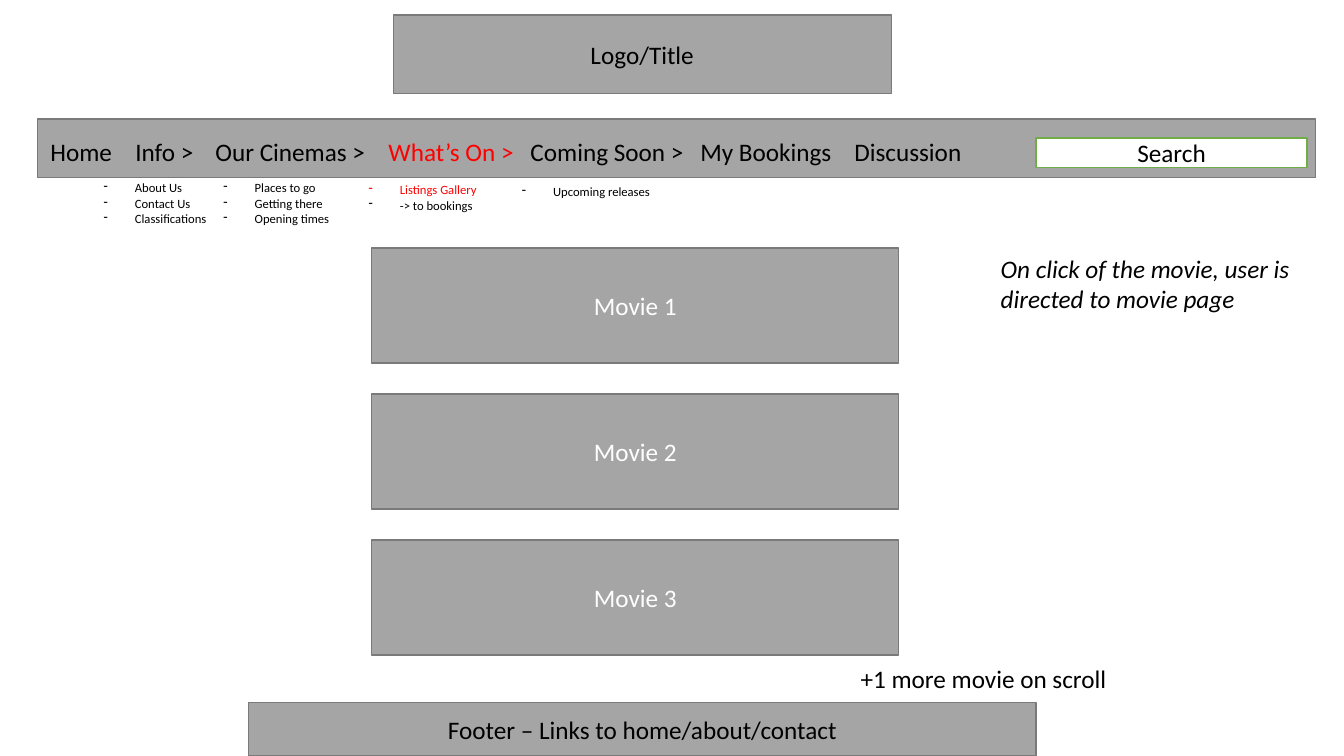
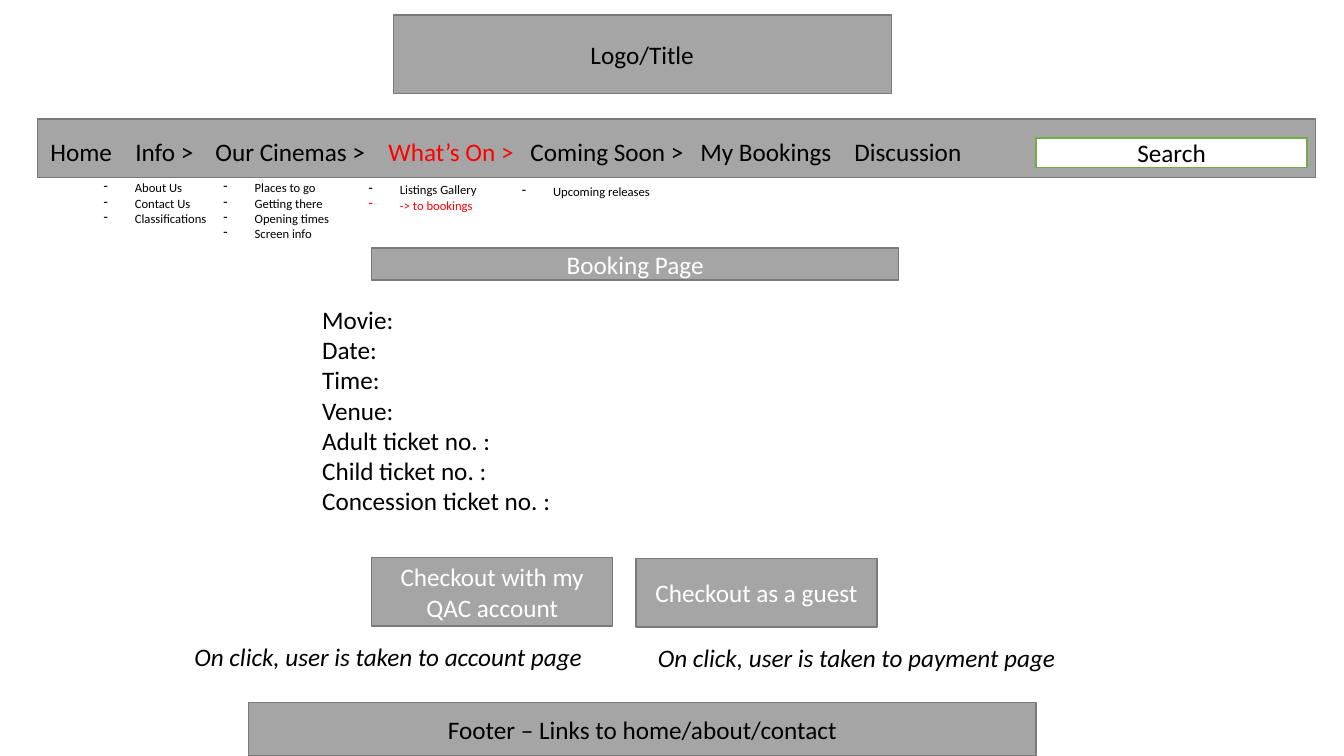
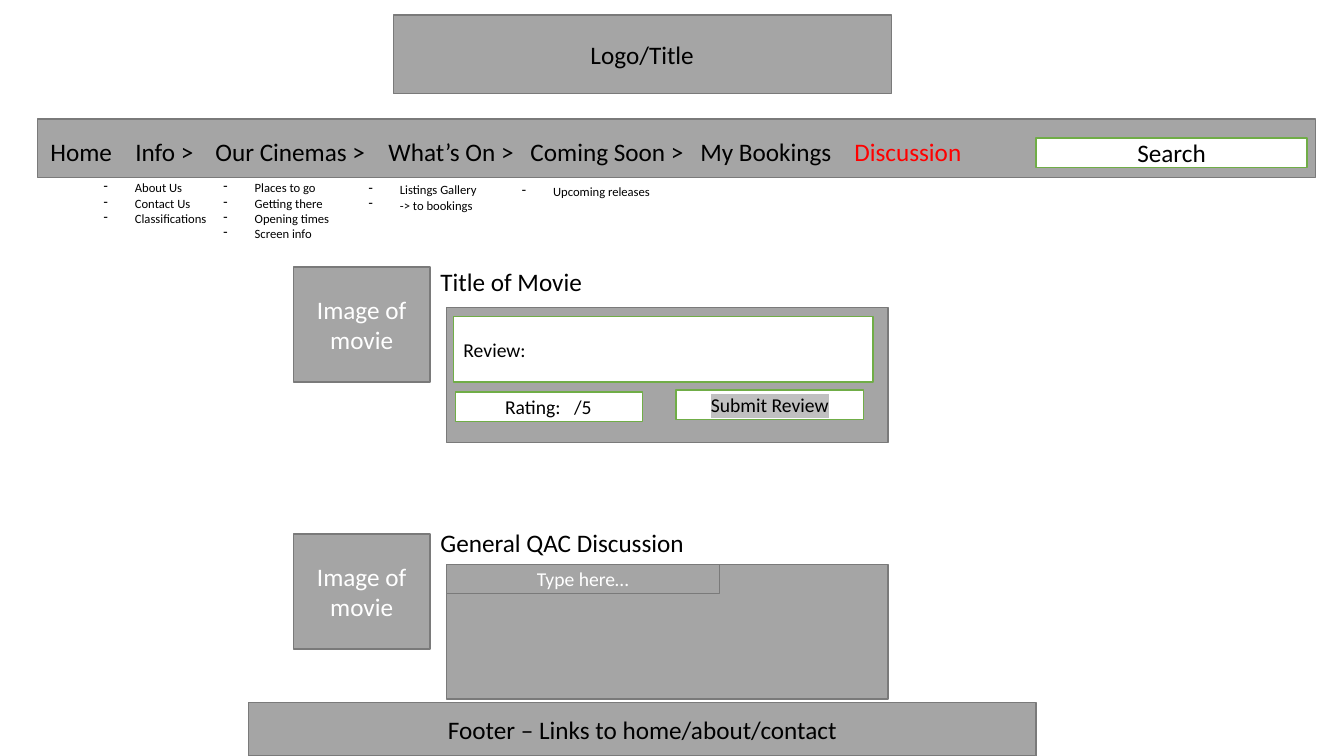
from dataclasses import dataclass

from lxml.etree import SubElement
from pptx import Presentation
from pptx.dml.color import RGBColor
from pptx.enum.shapes import MSO_SHAPE
from pptx.enum.text import MSO_ANCHOR, PP_ALIGN
from pptx.oxml.ns import qn
from pptx.util import Cm, Pt


@dataclass(frozen=True)
class Theme:
    font: str = "Calibri"
    black: str = "000000"
    white: str = "FFFFFF"
    red: str = "FF0000"
    grey: str = "A5A5A5"
    grey_edge: str = "7A7A7A"
    green_edge: str = "70AD47"
    marker: str = "C0C0C0"
    body: int = 18
    field: int = 14
    menu: int = 9
    outline: float = 1
    bullet_indent: float = 0.79


THEME = Theme()

NAV_ITEMS = ["Home", "Info >", "Our Cinemas >", "What’s On >",
             "Coming Soon >", "My Bookings", "Discussion"]
NAV_TABS = [2.14, 4.16, 8.52, 12.1, 16.38, 20.26]
CINEMA_ITEMS = ["Places to go", "Getting there", "Opening times"]
MENUS = [
    (2.36, 4.42, 3.35, ["About Us", "Contact Us", "Classifications"]),
    (9.04, 4.47, 3.25, ["Listings Gallery", "-> to bookings"]),
    (12.9, 4.5, 17, ["Upcoming releases"]),
]
MAIN_LEFT, MAIN_TOP, MAIN_WIDTH = 9.37, 6.25, 13.28


def add_bullet(paragraph):
    properties = paragraph._p.get_or_add_pPr()
    indent = Cm(THEME.bullet_indent)
    properties.set("marL", str(indent))
    properties.set("indent", str(-indent))
    SubElement(properties, qn("a:buFontTx"))
    SubElement(properties, qn("a:buChar"), char="-")


def add_tab_stops(paragraph, tabs):
    stops = SubElement(paragraph._p.get_or_add_pPr(), qn("a:tabLst"))
    for tab in tabs:
        SubElement(stops, qn("a:tab"), pos=str(Cm(tab)), algn="l")


def add_highlight(run, color):
    highlight = SubElement(run._r.rPr, qn("a:highlight"))
    SubElement(highlight, qn("a:srgbClr"), val=color)
    run._r.rPr.find(qn("a:solidFill")).addnext(highlight)


def write(frame, text, size=THEME.body, color=THEME.black, italic=False,
          align=PP_ALIGN.LEFT, anchor=MSO_ANCHOR.TOP, bullet=False,
          tabs=(), active=(), highlight=None, inset=0.25):
    frame.word_wrap = True
    frame.vertical_anchor = anchor
    frame.margin_left = Cm(inset)
    for number, line in enumerate(text.split("\n")):
        paragraph = frame.add_paragraph() if number else frame.paragraphs[0]
        paragraph.alignment = align
        if bullet:
            add_bullet(paragraph)
        if tabs:
            add_tab_stops(paragraph, tabs)
        for position, part in enumerate(line.split("\t")):
            run = paragraph.add_run()
            run.text = "\t" + part if position else part
            run.font.name = THEME.font
            run.font.size = Pt(size)
            run.font.italic = italic
            shade = THEME.red if part in active else color
            run.font.color.rgb = RGBColor.from_string(shade)
            if highlight:
                add_highlight(run, highlight)


def paint(shape, fill, edge):
    shape.fill.solid()
    shape.fill.fore_color.rgb = RGBColor.from_string(fill)
    shape.line.color.rgb = RGBColor.from_string(edge)
    shape.line.width = Pt(THEME.outline)


def add_box(slide, left, top, width, height, text="", fill=THEME.grey,
            edge=THEME.grey_edge, color=THEME.white,
            align=PP_ALIGN.CENTER, **style):
    box = slide.shapes.add_shape(MSO_SHAPE.RECTANGLE, Cm(left), Cm(top),
                                 Cm(width), Cm(height))
    box.shadow.inherit = False
    paint(box, fill, edge)
    if text:
        write(box.text_frame, text, color=color, align=align,
              anchor=MSO_ANCHOR.MIDDLE, **style)


def add_field(slide, left, top, width, height, text, **style):
    add_box(slide, left, top, width, height, text, fill=THEME.white,
            edge=THEME.green_edge, color=THEME.black, **style)


def add_label(slide, left, top, width, height, text, **style):
    label = slide.shapes.add_textbox(Cm(left), Cm(top), Cm(width), Cm(height))
    write(label.text_frame, text, **style)


def add_menu(slide, left, top, width, items, active):
    add_label(slide, left, top, width, 0.64 + 0.38 * (len(items) - 1),
              "\n".join(items), size=THEME.menu, bullet=True, active=active)


def add_title(slide, text):
    title = slide.shapes.title
    title.left, title.top = Cm(9.91), Cm(0.38)
    title.width, title.height = Cm(12.55), Cm(1.98)
    paint(title, THEME.grey, THEME.grey_edge)
    write(title.text_frame, text, align=PP_ALIGN.CENTER,
          anchor=MSO_ANCHOR.MIDDLE)


def add_page(deck, active, cinema_items):
    slide = deck.slides.add_slide(deck.slide_layouts[5])
    add_title(slide, "Logo/Title")
    add_box(slide, 0.94, 3, 32.21, 1.47)
    add_field(slide, 26.11, 3.48, 6.83, 0.74, "Search")
    add_label(slide, 1.02, 3.3, 24.38, 1.02, "\t".join(NAV_ITEMS),
              tabs=NAV_TABS, active=active)
    for left, top, width, items in [(5.38, 4.42, 4.01, cinema_items), *MENUS]:
        add_menu(slide, left, top, width, items, active)
    add_box(slide, 6.27, 17.7, 19.84, 1.35,
            "Footer – Links to home/about/contact", color=THEME.black)
    return slide


def build_listings(deck):
    slide = add_page(deck, ["What’s On >", "Listings Gallery"], CINEMA_ITEMS)
    for number in range(3):
        add_box(slide, MAIN_LEFT, MAIN_TOP + 3.68 * number, MAIN_WIDTH, 2.9,
                f"Movie {number + 1}")
    add_label(slide, 21.44, 16.59, 12.4, 1.02, "+1 more movie on scroll")
    add_label(slide, 24.97, MAIN_TOP, 8.59, 1.8,
              "On click of the movie, user is directed to movie page",
              italic=True)


def build_booking(deck):
    slide = add_page(deck, ["What’s On >", "-> to bookings"],
                     CINEMA_ITEMS + ["Screen info"])
    add_box(slide, MAIN_LEFT, MAIN_TOP, MAIN_WIDTH, 0.81, "Booking Page")
    details = ["Movie:", "Date:", "Time:", "Venue:", "Adult ticket no. :",
               "Child ticket no. :", "Concession ticket no. :"]
    add_label(slide, 7.87, 7.54, 15.8, 5.64, "\n".join(details))
    checkouts = [
        (MAIN_LEFT, 14.05, "Checkout with my QAC account", 4.65, "account"),
        (16.03, 14.07, "Checkout as a guest", 16.33, "payment"),
    ]
    for left, top, caption, note_left, target in checkouts:
        add_box(slide, left, top, 6.07, 1.73, caption)
        add_label(slide, note_left, top + 1.98, 12.27, 1.02,
                  f"On click, user is taken to {target} page", italic=True)


def build_discussion(deck):
    slide = add_page(deck, ["Discussion"], CINEMA_ITEMS + ["Screen info"])
    threads = [
        ("Title of Movie", 6.58, 6.73, 7.75),
        ("General QAC Discussion", 13.16, 13.46, 14.22),
    ]
    for heading, heading_top, image_top, panel_top in threads:
        add_box(slide, 7.39, image_top, 3.45, 2.9, "Image of movie")
        add_box(slide, 11.25, panel_top, 11.13, 3.4)
        add_label(slide, 10.85, heading_top, 6.86, 1.02, heading)
    add_field(slide, 11.43, 7.98, 10.57, 1.65, "Review:", size=THEME.field,
              align=PP_ALIGN.LEFT)
    add_field(slide, 11.48, 9.88, 4.72, 0.74, "Rating:\t/5", size=THEME.field,
              align=PP_ALIGN.LEFT, inset=1.25, tabs=[1.74])
    add_field(slide, 17.04, 9.83, 4.72, 0.74, "Submit Review",
              size=THEME.field, highlight=THEME.marker)
    add_box(slide, 11.25, 14.22, 6.88, 0.74, "Type here…", size=THEME.field)


def main():
    deck = Presentation()
    deck.slide_width, deck.slide_height = Cm(33.87), Cm(19.05)
    build_listings(deck)
    build_booking(deck)
    build_discussion(deck)
    deck.save("out.pptx")


if __name__ == "__main__":
    main()
